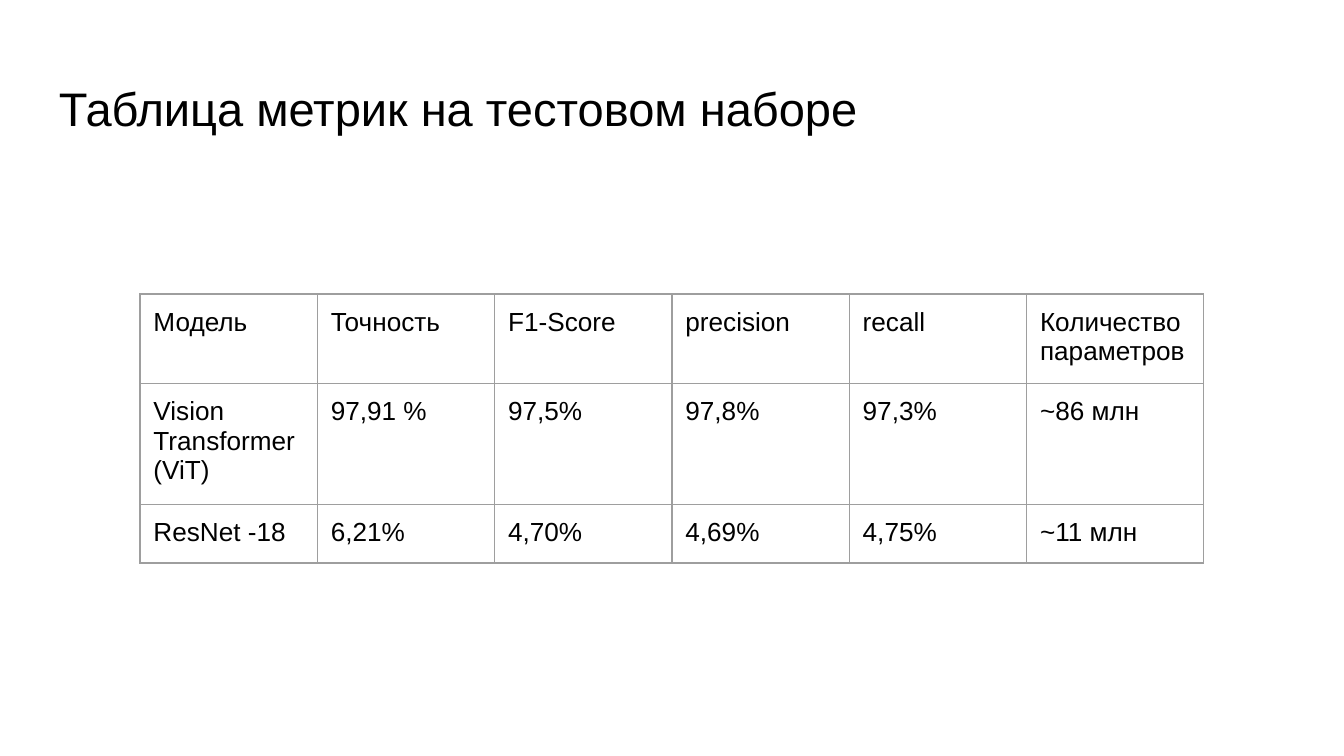
from lxml import etree
from pptx import Presentation
from pptx.dml.color import RGBColor
from pptx.enum.text import MSO_ANCHOR
from pptx.oxml.ns import qn
from pptx.util import Pt

PX = 6350  # 144 px to the inch
MIDDLE = MSO_ANCHOR.MIDDLE
FONT = "Arial"
INK = "000000"
GRID = "9E9E9E"
PAD = Pt(7.2)

ROWS = [
    ["Модель", "Точность", "F1-Score", "precision", "recall", "Количество параметров"],
    ["Vision Transformer (ViT)", "97,91 %", "97,5%", "97,8%", "97,3%", "~86 млн"],
    ["ResNet -18", "6,21%", "4,70%", "4,69%", "4,75%", "~11 млн"],
]


def px(n):
    return n * PX


def color(hex_code):
    return RGBColor.from_string(hex_code)


def pad(box):
    """Set equal inner margins on a text frame or a cell."""
    box.margin_left = box.margin_right = PAD
    box.margin_top = box.margin_bottom = PAD


def write(frame, text, size):
    frame.word_wrap = True
    para = frame.paragraphs[0]
    para.text = text
    para.font.name = FONT
    para.font.size = Pt(size)
    para.font.color.rgb = color(INK)
    # The end mark must match the text, or it makes table rows taller.
    etree.SubElement(para._p, qn("a:endParaRPr"), sz=str(round(size * 100)))


def border(cell):
    props = cell._tc.get_or_add_tcPr()
    for side in ("lnL", "lnR", "lnT", "lnB"):
        line = etree.SubElement(props, qn(f"a:{side}"), w=str(Pt(0.75)))
        fill = etree.SubElement(line, qn("a:solidFill"))
        etree.SubElement(fill, qn("a:srgbClr"), val=GRID)


def add_title(slide, text, x, y, w, h):
    frame = slide.shapes.add_textbox(px(x), px(y), px(w), px(h)).text_frame
    pad(frame)
    frame.vertical_anchor = MIDDLE
    write(frame, text, 25.2)


def add_grid(slide, rows, x, y, w, h):
    """Add a plain ruled table; rows grow to fit wrapped text."""
    shape = slide.shapes.add_table(len(rows), len(rows[0]), px(x), px(y), px(w), px(h))
    table = shape.table
    table.first_row = table.horz_banding = False
    for r, row in enumerate(rows):
        for c, text in enumerate(row):
            cell = table.cell(r, c)
            pad(cell)
            border(cell)
            cell.fill.background()
            write(cell.text_frame, text, 14)


def main():
    deck = Presentation()
    deck.slide_width, deck.slide_height = px(1440), px(810)
    slide = deck.slides.add_slide(deck.slide_layouts[6])
    add_title(slide, "Таблица метрик на тестовом наборе", 49, 70, 1342, 90)
    add_grid(slide, ROWS, 150, 315, 1140, 180)
    deck.save("out.pptx")


if __name__ == "__main__":
    main()
